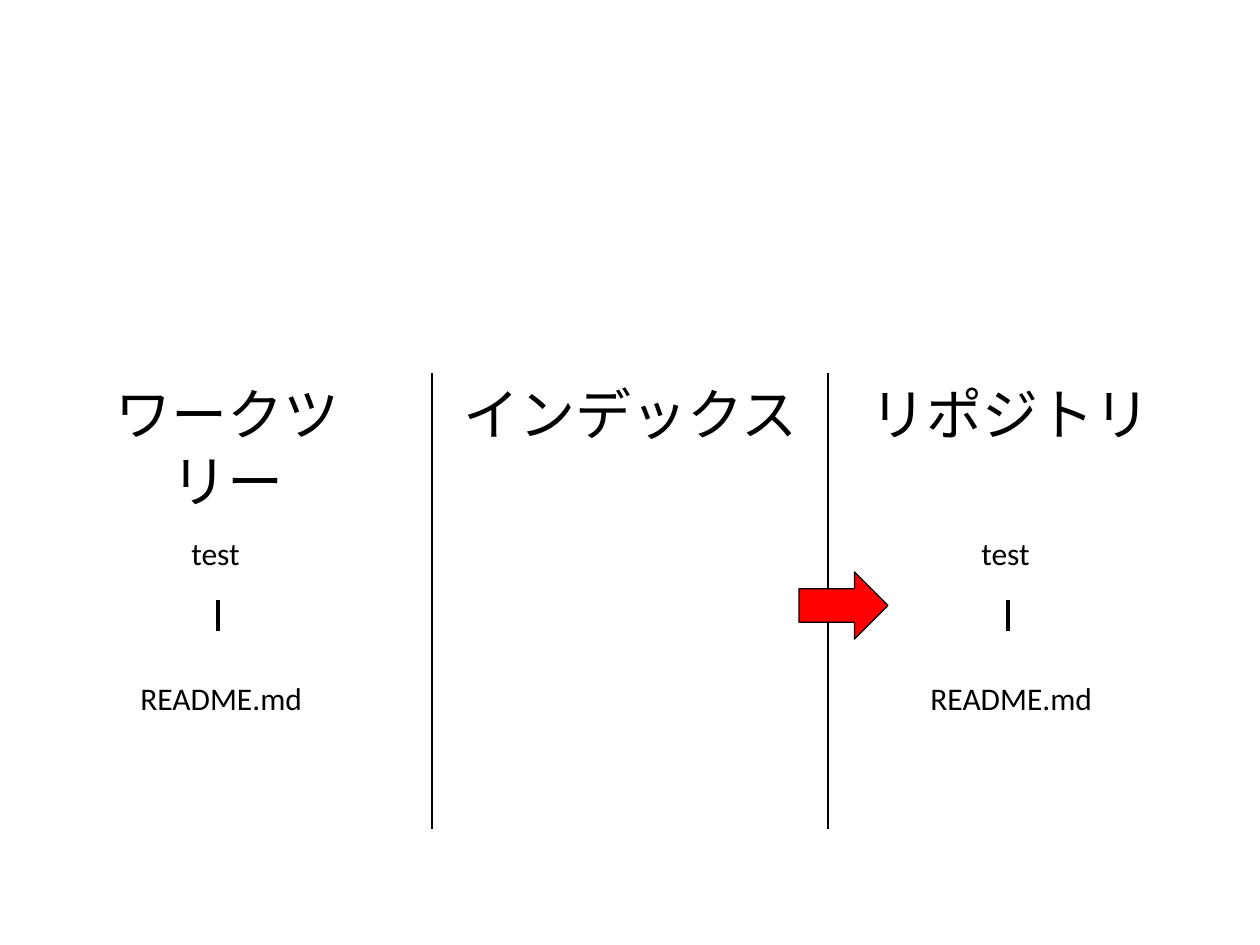
"""Build a slide showing a commit from the index to the repository."""
from lxml import etree
from pptx import Presentation
from pptx.dml.color import RGBColor as RGB
from pptx.enum.shapes import MSO_CONNECTOR as LINE, MSO_SHAPE as SHAPE
from pptx.enum.text import PP_ALIGN as ALIGN
from pptx.oxml.ns import qn
from pptx.util import Emu, Pt

COLORS = {"ink": "000000", "arrow": "FF0000"}
INK = RGB.from_string(COLORS["ink"])


def px(*nums):
    return [Emu(round(n * 914400 / 126)) for n in nums]


def rule(x, top, end, width):
    line = shapes.add_connector(LINE.STRAIGHT, *px(x, top, x, end))
    line.line.color.rgb = INK
    line.line.width = Pt(width)
    etree.SubElement(line._element.spPr, qn("a:effectLst"))


deck = Presentation()
deck.slide_width, deck.slide_height = px(1260, 945)
shapes = deck.slides.add_slide(deck.slide_layouts[6]).shapes

labels = [
    ("ワークツリー", 66, 373, 324, 81, 32, ALIGN.CENTER, True),
    ("インデックス", 451, 373, 364, 81, 32, ALIGN.LEFT, False),
    ("リポジトリ", 858, 373, 309, 81, 32, ALIGN.LEFT, False),
]
for shift in (0, 790):
    labels += [
        ("test", 179 + shift, 528, 74, 50, 18, ALIGN.LEFT, False),
        ("README.md", 128 + shift, 673, 189, 50, 18, ALIGN.LEFT, False),
    ]
    rule(218 + shift, 600, 631, 2)

for text, left, top, width, height, size, align, wrap in labels:
    frame = shapes.add_textbox(*px(left, top, width, height)).text_frame
    frame.word_wrap = wrap
    para = frame.paragraphs[0]
    para.text = text
    para.alignment = align
    for key, value in {"name": "Calibri", "size": Pt(size)}.items():
        setattr(para.font, key, value)
    para.font.color.rgb = INK

for x in (432, 828):
    rule(x, 373, 829, 0.75)

arrow = shapes.add_shape(SHAPE.RIGHT_ARROW, *px(799, 572, 89, 67))
arrow.shadow.inherit = False
arrow.fill.solid()
arrow.fill.fore_color.rgb = RGB.from_string(COLORS["arrow"])
arrow.line.color.rgb = INK
arrow.line.width = Pt(0.75)

deck.save("out.pptx")
